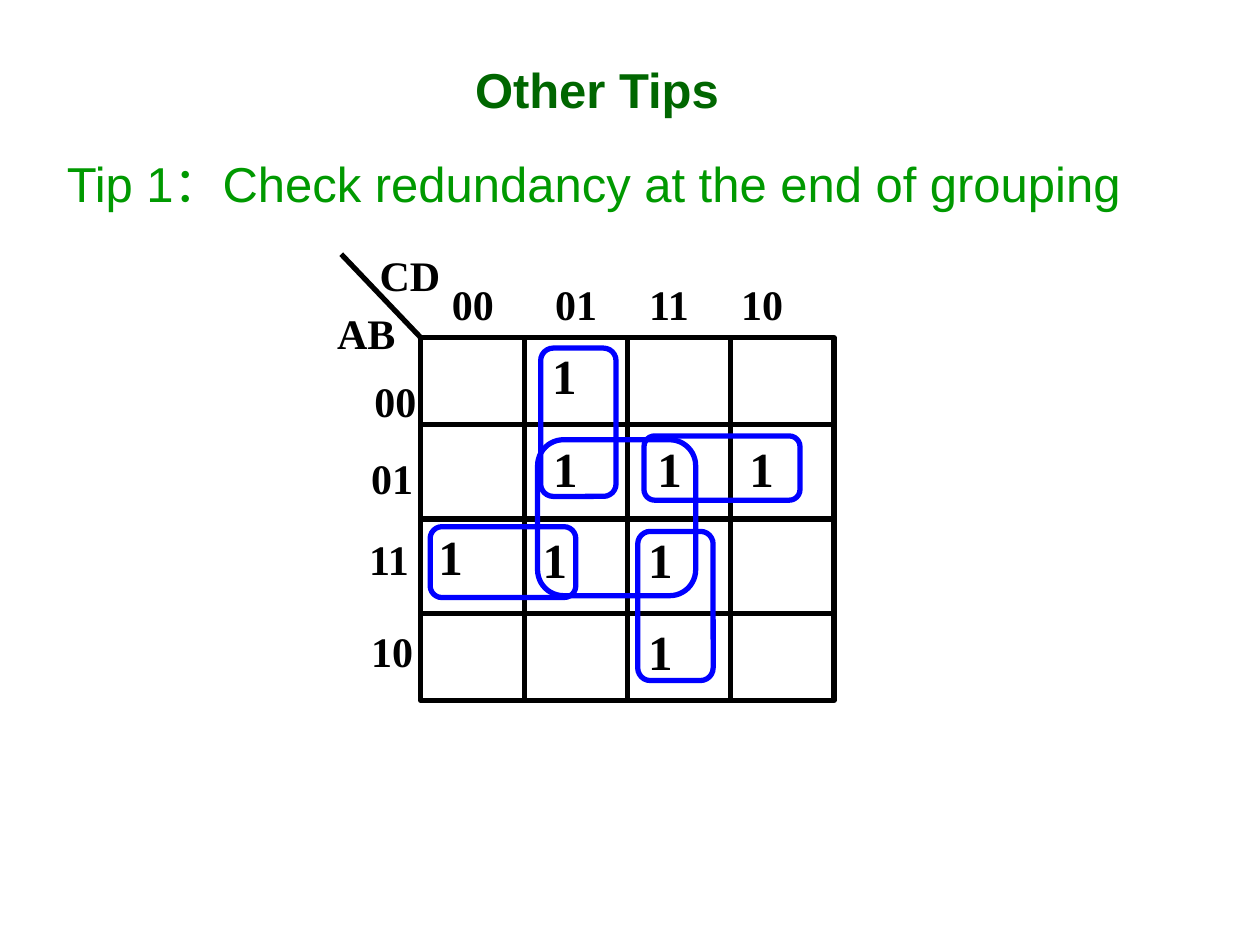
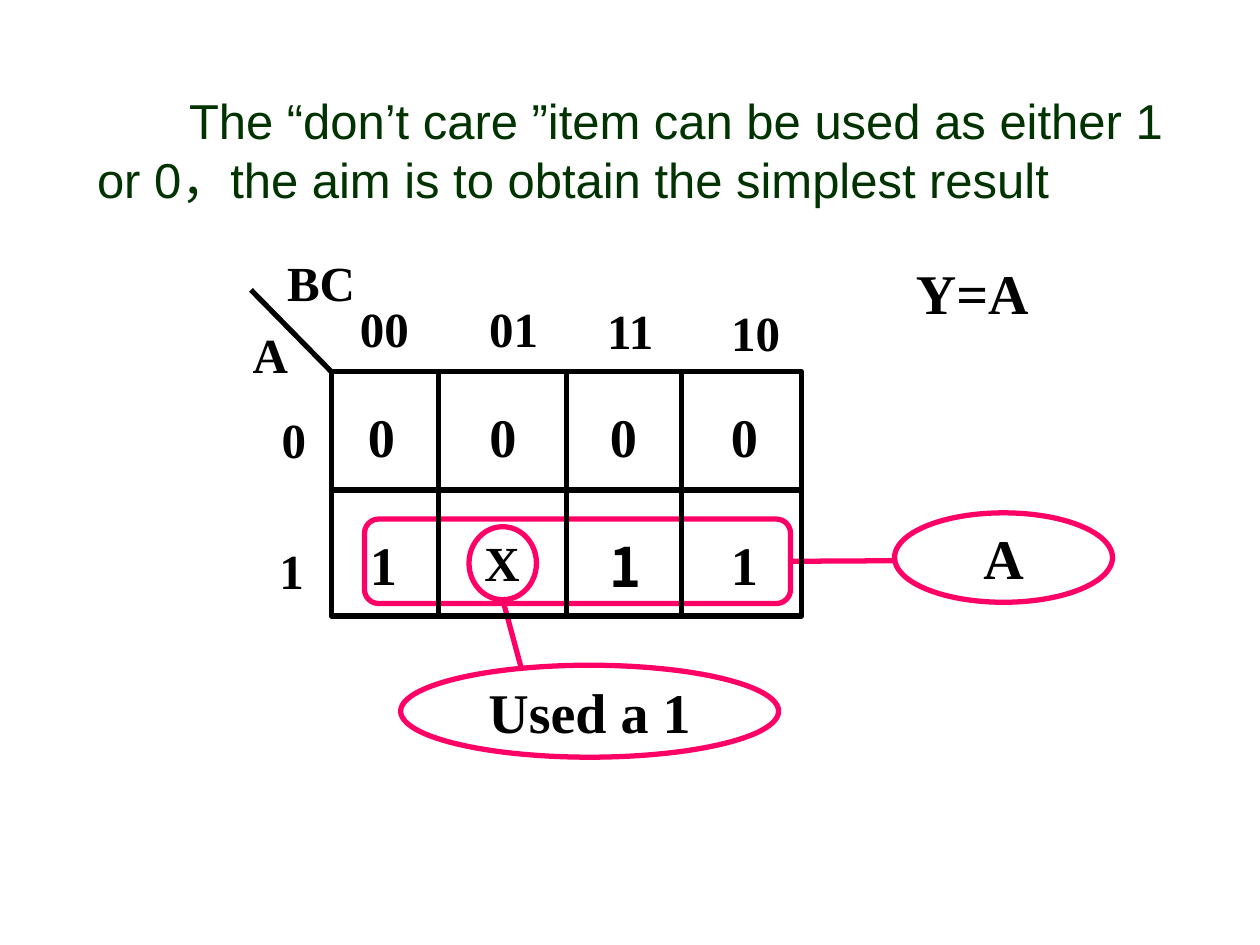
from dataclasses import dataclass

from lxml import etree
from pptx import Presentation
from pptx.dml.color import RGBColor
from pptx.enum.shapes import MSO_CONNECTOR, MSO_SHAPE
from pptx.enum.text import MSO_ANCHOR, MSO_AUTO_SIZE, PP_ALIGN
from pptx.oxml.ns import qn
from pptx.util import Inches, Pt

STRAIGHT = MSO_CONNECTOR.STRAIGHT
RECT, ROUND, OVAL = MSO_SHAPE.RECTANGLE, MSO_SHAPE.ROUNDED_RECTANGLE, MSO_SHAPE.OVAL
TOP, MIDDLE = MSO_ANCHOR.TOP, MSO_ANCHOR.MIDDLE
LEFT, CENTER = PP_ALIGN.LEFT, PP_ALIGN.CENTER
GROW, FIXED = MSO_AUTO_SIZE.SHAPE_TO_FIT_TEXT, MSO_AUTO_SIZE.NONE
SITE_TOP, SITE_LEFT, SITE_BOTTOM, SITE_RIGHT = range(4)
TITLE_ONLY, TITLE_AND_BODY = 5, 1


@dataclass(frozen=True)
class Theme:
    heading_font: str = "Arial"
    map_font: str = "Times New Roman"
    plain_font: str = "Noto Sans CJK SC"
    ink: str = "000000"
    title: str = "006600"
    tip: str = "009900"
    statement: str = "003300"
    group: str = "0000FF"
    highlight: str = "FF0066"
    line: float = 3
    small: int = 24
    heading: int = 28
    value: int = 31
    callout: int = 32


THEME = Theme()


@dataclass(frozen=True)
class KMap:
    """A Karnaugh map; places are given in its columns and rows."""
    left: float
    top: float
    columns: tuple
    rows: tuple

    def at(self, column, row):
        return (along(self.left, self.columns, column),
                along(self.top, self.rows, row))

    def box(self, column, row, end_column, end_row):
        x, y = self.at(column, row)
        right, bottom = self.at(end_column, end_row)
        return x, y, right - x, bottom - y


def along(start, sizes, place):
    """Turn a fractional track number into inches, also outside the grid."""
    track = min(max(int(place), 0), len(sizes) - 1)
    return start + sum(sizes[:track]) + (place - track) * sizes[track]


def set_values(target, values):
    for attribute, value in values.items():
        setattr(target, attribute, value)


def write(frame, text, size, font=THEME.map_font, color=THEME.ink, bold=True,
          inset=(0.1, 0.05), wrap=True, align=LEFT, anchor=TOP, fit=GROW):
    across, down = map(Inches, inset)
    set_values(frame, dict(
        text=text, word_wrap=wrap, auto_size=fit, vertical_anchor=anchor,
        margin_left=across, margin_right=across,
        margin_top=down, margin_bottom=down))
    paragraph = frame.paragraphs[0]
    paragraph.alignment = align
    run_font = paragraph.runs[0].font
    set_values(run_font, dict(name=font, size=Pt(size), bold=bold))
    run_font.color.rgb = RGBColor.from_string(color)


def fill_placeholder(placeholder, box, text, color, bold=False, indent=0):
    set_values(placeholder, dict(zip(("left", "top", "width", "height"),
                                     map(Inches, box))))
    write(placeholder.text_frame, text, THEME.heading, THEME.heading_font, color, bold)
    paragraph = placeholder.text_frame.paragraphs[0]
    set_values(paragraph, dict(space_before=Pt(0), line_spacing=1.0))
    properties = paragraph._p.get_or_add_pPr()
    properties.set("marL", "0")
    properties.set("indent", str(Inches(indent)))
    etree.SubElement(properties, qn("a:buNone"))


def add_label(slide, place, text, size, width):
    height = size / 60 + 0.1
    box = slide.shapes.add_textbox(*map(Inches, (*place, width, height)))
    write(box.text_frame, text, size)


def add_value(slide, place, text, size, font=THEME.map_font):
    width = size / (95 if text == "X" else 145)
    box = slide.shapes.add_textbox(*map(Inches, (*place, width, size / 60)))
    write(box.text_frame, text, size, font, inset=(0, 0), wrap=False)


def style_line(line, color):
    line.color.rgb = RGBColor.from_string(color)
    line.width = Pt(THEME.line)


def add_outline(slide, kind, box, color):
    outline = slide.shapes.add_shape(kind, *map(Inches, box))
    outline.shadow.inherit = False
    outline.fill.background()
    style_line(outline.line, color)
    return outline


def add_callout(slide, box, text):
    oval = add_outline(slide, OVAL, box, THEME.highlight)
    write(oval.text_frame, text, THEME.callout, wrap=False,
          align=CENTER, anchor=MIDDLE, fit=FIXED)


def add_line(slide, start, end, color):
    line = slide.shapes.add_connector(STRAIGHT, *map(Inches, (*start, *end)))
    style_line(line.line, color)
    etree.SubElement(line._element.spPr, qn("a:effectLst"))
    return line


def draw_grid(slide, kmap):
    columns, rows = len(kmap.columns), len(kmap.rows)
    frame = add_outline(slide, RECT, kmap.box(0, 0, columns, rows), THEME.ink)
    middle_x, middle_y = (edge + size / 2 for edge, size in (
        (kmap.left, sum(kmap.columns)), (kmap.top, sum(kmap.rows))))

    def divide(start, end, is_middle, sites):
        line = add_line(slide, start, end, THEME.ink)
        if is_middle:
            line.begin_connect(frame, sites[0])
            line.end_connect(frame, sites[1])

    for row in range(1, rows):
        start, end = kmap.at(0, row), kmap.at(columns, row)
        divide(start, end, abs(start[1] - middle_y) < 0.02, (SITE_LEFT, SITE_RIGHT))
    for column in range(1, columns):
        start, end = kmap.at(column, 0), kmap.at(column, rows)
        divide(start, end, abs(start[0] - middle_x) < 0.02, (SITE_TOP, SITE_BOTTOM))


def draw_labels(slide, kmap, size, diagonal_end, label_groups):
    """Each label group is a width and its (column, row, text) entries."""
    add_line(slide, kmap.at(0, 0), kmap.at(*diagonal_end), THEME.ink)
    for width, labels in label_groups:
        for column, row, text in labels:
            add_label(slide, kmap.at(column, row), text, size, width)


def build_redundancy(deck):
    slide = deck.slides.add_slide(deck.slide_layouts[TITLE_AND_BODY])
    title, tip = slide.placeholders
    fill_placeholder(title, (3.67, 0.42, 2.15, 0.57), "Other Tips", THEME.title, True)
    fill_placeholder(tip, (0.43, 1.17, 9.15, 0.57),
                     "Tip 1：Check redundancy at the end of grouping", THEME.tip)

    kmap = KMap(3.34, 2.68, (0.82,) * 4, (0.69, 0.75, 0.75, 0.69))
    draw_labels(slide, kmap, THEME.small, (-0.77, -0.96), (
        (0.83, ((-0.93, -0.42, "AB"), (-0.57, 0.36, "00"), (-0.6, 1.23, "01"),
                (-0.62, 2.09, "11"), (-0.6, 3.07, "10"))),
        (1.15, ((-0.52, -1.09, "CD"),)),
        (0.69, ((0.18, -0.75, "00"), (1.18, -0.75, "01"),
                (2.09, -0.75, "11"), (2.98, -0.75, "10")))))
    ones = ((1.27, 0.09), (1.28, 1.15), (2.29, 1.15), (3.18, 1.15),
            (0.17, 2.08), (1.18, 2.11), (2.2, 2.11), (2.2, 3.09))
    for place in ones:
        add_value(slide, kmap.at(*place), "1", THEME.heading)
    draw_grid(slide, kmap)

    groupings = ((1.13, 1.16, 2.66, 2.81), (0.09, 2.08, 1.5, 2.83),
                 (1.16, 0.12, 1.89, 1.76), (2.16, 1.12, 3.67, 1.8),
                 (2.1, 2.13, 2.83, 3.77))
    for grouping in groupings:
        add_outline(slide, ROUND, kmap.box(*grouping), THEME.group)


def build_dont_care(deck):
    slide = deck.slides.add_slide(deck.slide_layouts[TITLE_ONLY])
    fill_placeholder(slide.shapes.title, (0.67, 0.67, 8.92, 1.03),
                     "The “don’t care ”item can be used as either 1 or 0，"
                     "the aim is to obtain the simplest result",
                     THEME.statement, indent=0.73)

    kmap = KMap(2.63, 2.95, (0.85, 1.01, 0.92, 0.95), (0.94, 1))
    grouping = add_outline(slide, ROUND, kmap.box(0.31, 1.23, 3.91, 1.9),
                           THEME.highlight)
    add_callout(slide, (3.18, 5.28, 3, 0.73), "Used a 1")
    add_outline(slide, OVAL, kmap.box(1.24, 1.29, 1.77, 1.87), THEME.highlight)
    add_line(slide, kmap.at(1.5, 1.85), kmap.at(1.65, 2.41), THEME.highlight)
    result_line = add_line(slide, (6.27, 4.45), (7.12, 4.45), THEME.highlight)
    result_line.begin_connect(grouping, SITE_RIGHT)
    add_callout(slide, (7.1, 4.07, 1.73, 0.71), "A")
    add_label(slide, (7.17, 2), "Y=A", THEME.callout, 1.65)

    draw_labels(slide, kmap, THEME.heading, (-0.75, -0.69), (
        (0.54, ((-0.85, -0.45, "A"),)),
        (1.15, ((-0.53, -1.06, "BC"),)),
        (0.69, ((0.15, -0.67, "00"), (1.3, -0.67, "01"),
                (2.25, -0.65, "11"), (3.31, -0.64, "10"))),
        (0.44, ((-0.58, 0.27, "0"), (-0.6, 1.35, "1")))))
    for column in (0.34, 1.4, 2.38, 3.41):
        add_value(slide, kmap.at(column, 0.27), "0", THEME.value)
    for column in (0.36, 3.41):
        add_value(slide, kmap.at(column, 1.33), "1", THEME.value)
    add_value(slide, kmap.at(1.36, 1.34), "X", THEME.heading)
    add_value(slide, kmap.at(2.38, 1.34), "1", THEME.value, THEME.plain_font)
    draw_grid(slide, kmap)


def main():
    deck = Presentation()
    set_values(deck, dict(slide_width=Inches(10), slide_height=Inches(7.5)))
    build_redundancy(deck)
    build_dont_care(deck)
    deck.save("out.pptx")


if __name__ == "__main__":
    main()
